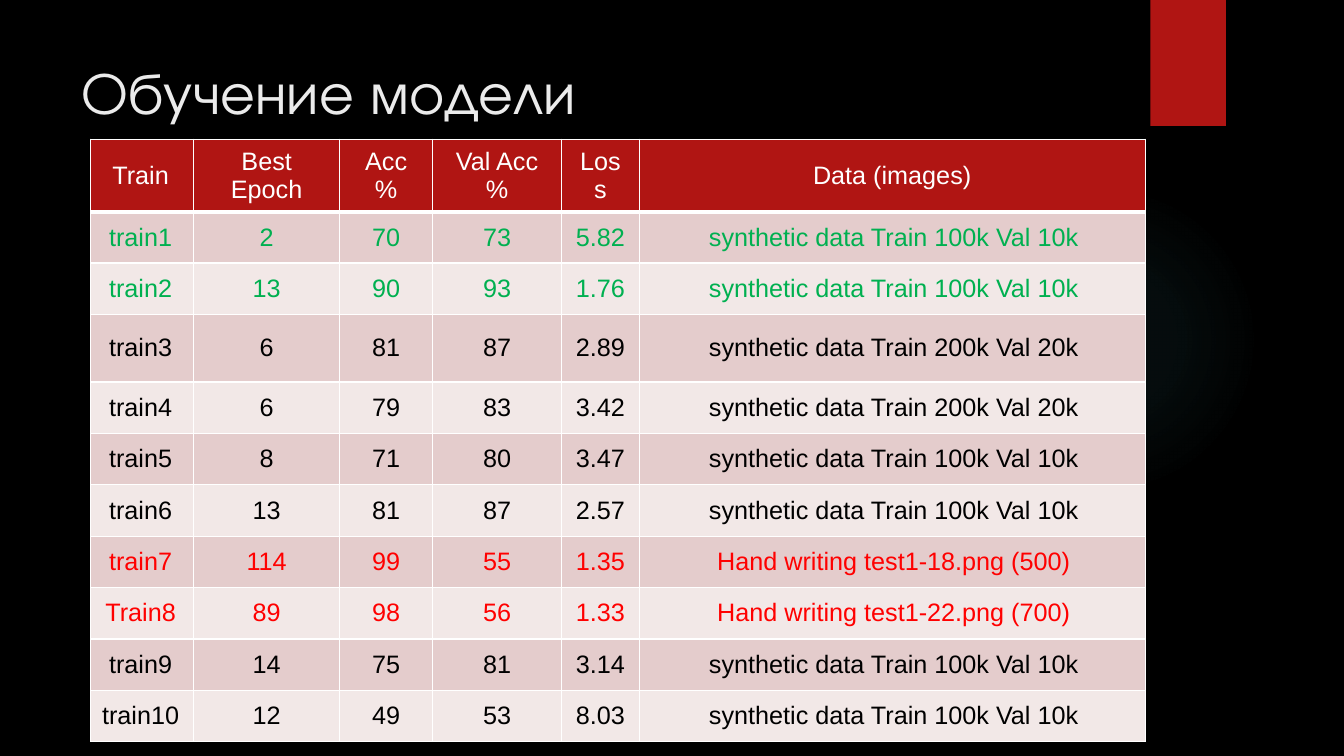
from lxml import etree
from pptx import Presentation
from pptx.dml.color import RGBColor
from pptx.enum.shapes import MSO_SHAPE
from pptx.enum.text import MSO_ANCHOR, MSO_AUTO_SIZE, PP_ALIGN
from pptx.oxml import parse_xml
from pptx.oxml.ns import nsdecls, qn
from pptx.util import Inches, Pt

COLORS = {
    "background": "000000", "accent": "B01513", "title": "EBEBEB", "glow": "50B9C1",
    "white": "FFFFFF", "band_dark": "E4CCCC", "band_light": "F2E8E7",
    "good": "00B050", "plain": "000000", "bad": "FF0000",
}
GLOW_STOPS = [(0, 7), (36, 6), (69, 0)]
COLUMN_WIDTHS = [1.02, 1.45, 0.92, 1.28, 0.77, 5.02]
ROW_HEIGHT, TALL_ROW_HEIGHT = 0.51, 0.67
TALL_ROWS = {0, 3}
HEADER = ["Train", "Best Epoch", "Acc %", "Val Acc %", "Loss", "Data (images)"]
SYNTHETIC_100K = "synthetic data Train 100k Val 10k"
SYNTHETIC_200K = "synthetic data Train 200k Val 20k"
TRAININGS = [
    ("good", ["train1", "2", "70", "73", "5.82", SYNTHETIC_100K]),
    ("good", ["train2", "13", "90", "93", "1.76", SYNTHETIC_100K]),
    ("plain", ["train3", "6", "81", "87", "2.89", SYNTHETIC_200K]),
    ("plain", ["train4", "6", "79", "83", "3.42", SYNTHETIC_200K]),
    ("plain", ["train5", "8", "71", "80", "3.47", SYNTHETIC_100K]),
    ("plain", ["train6", "13", "81", "87", "2.57", SYNTHETIC_100K]),
    ("bad", ["train7", "114", "99", "55", "1.35", "Hand writing test1-18.png (500)"]),
    ("bad", ["Train8", "89", "98", "56", "1.33", "Hand writing test1-22.png (700)"]),
    ("plain", ["train9", "14", "75", "81", "3.14", SYNTHETIC_100K]),
    ("plain", ["train10", "12", "49", "53", "8.03", SYNTHETIC_100K]),
]


def rgb(name):
    return RGBColor.from_string(COLORS[name])


def add_run(paragraph, text, font, size, color):
    run = paragraph.add_run()
    run.text = text
    run.font.name = font
    run.font.size = Pt(size)
    run.font.color.rgb = rgb(color)


def add_decoration(slide, preset, left, top, width, height):
    """Add an accent-coloured shape with no line or shadow."""
    shape = slide.shapes.add_shape(
        preset, Inches(left), Inches(top), Inches(width), Inches(height))
    shape.shadow.inherit = False
    shape.line.fill.background()
    shape.fill.solid()
    shape.fill.fore_color.rgb = rgb("accent")
    return shape


def apply_glow(shape):
    """Replace the solid fill with a faint radial gradient."""
    stops = "".join(
        f'<a:gs pos="{position * 1000}"><a:srgbClr val="{COLORS["glow"]}">'
        f'<a:alpha val="{opacity * 1000}"/></a:srgbClr></a:gs>'
        for position, opacity in GLOW_STOPS)
    gradient = parse_xml(
        f'<a:gradFill {nsdecls("a")}><a:gsLst>{stops}</a:gsLst><a:path path="circle">'
        '<a:fillToRect l="50000" t="50000" r="50000" b="50000"/></a:path></a:gradFill>')
    properties = shape.fill._xPr
    properties.replace(properties.find(qn("a:solidFill")), gradient)


def set_title(slide, text):
    title = slide.shapes.title
    title.left, title.top = Inches(0.71), Inches(0.5)
    title.width, title.height = Inches(10.29), Inches(1.53)
    frame = title.text_frame
    frame.auto_size = MSO_AUTO_SIZE.NONE
    frame.vertical_anchor = MSO_ANCHOR.TOP
    frame.paragraphs[0].alignment = PP_ALIGN.LEFT
    add_run(frame.paragraphs[0], text, "TeX Gyre Adventor", 42, "title")


def set_borders(cell, bottom_width):
    properties = cell._tc.get_or_add_tcPr()
    for side, width in (("L", 1), ("R", 1), ("T", 1), ("B", bottom_width)):
        line = etree.SubElement(properties, qn(f"a:ln{side}"), w=str(Pt(width)))
        fill = etree.SubElement(line, qn("a:solidFill"))
        etree.SubElement(fill, qn("a:srgbClr"), val=COLORS["white"])


def fill_cell(cell, text, color, background, bottom_width, margins):
    set_borders(cell, bottom_width)
    cell.fill.solid()
    cell.fill.fore_color.rgb = rgb(background)
    cell.vertical_anchor = MSO_ANCHOR.MIDDLE
    cell.margin_left, cell.margin_right = (Inches(margin) for margin in margins)
    cell.margin_top = cell.margin_bottom = Inches(0.08)
    paragraph = cell.text_frame.paragraphs[0]
    paragraph.alignment = PP_ALIGN.CENTER
    add_run(paragraph, text, "Arial", 18, color)


def add_results_table(slide):
    rows = [("white", HEADER)] + TRAININGS
    heights = [TALL_ROW_HEIGHT if index in TALL_ROWS else ROW_HEIGHT
               for index in range(len(rows))]
    table = slide.shapes.add_table(
        len(rows), len(HEADER), Inches(0.9), Inches(1.38),
        Inches(sum(COLUMN_WIDTHS)), Inches(sum(heights))).table
    for column, width in zip(table.columns, COLUMN_WIDTHS):
        column.width = Inches(width)
    for row_index, (color, values) in enumerate(rows):
        table.rows[row_index].height = Inches(heights[row_index])
        is_header = row_index == 0
        band = "band_dark" if row_index % 2 else "band_light"
        for column_index, text in enumerate(values):
            is_last = column_index == len(values) - 1
            margins = (0.1 if column_index == 0 else 0.13,
                       0.1 if is_last and not is_header else 0.13)
            fill_cell(table.cell(row_index, column_index), text, color,
                      "accent" if is_header else band, 3 if is_header else 1, margins)


def main():
    deck = Presentation()
    deck.slide_width, deck.slide_height = Inches(13.33), Inches(7.5)
    slide = deck.slides.add_slide(deck.slide_layouts[5])
    slide.background.fill.solid()
    slide.background.fill.fore_color.rgb = rgb("background")
    apply_glow(add_decoration(slide, MSO_SHAPE.OVAL, 9.41, 1.83, 3.08, 3.08))
    add_decoration(slide, MSO_SHAPE.RECTANGLE, 11.41, 0, 0.75, 1.25)
    set_title(slide, "Обучение модели")
    add_results_table(slide)
    deck.save("out.pptx")


if __name__ == "__main__":
    main()
